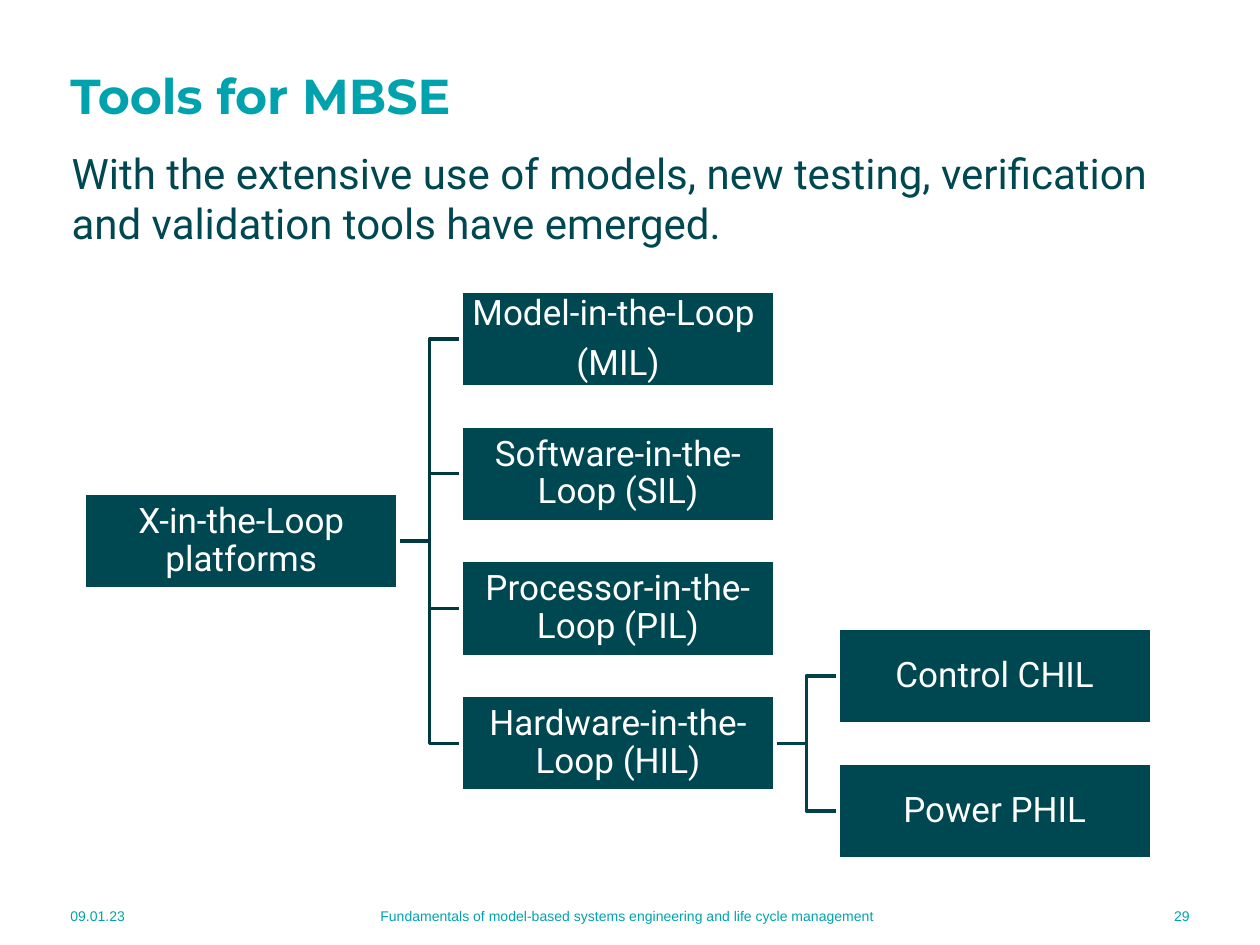
from pptx import Presentation
from pptx.dml.color import RGBColor
from pptx.enum.shapes import MSO_CONNECTOR, MSO_SHAPE
from pptx.enum.text import MSO_ANCHOR, PP_ALIGN
from pptx.oxml.ns import qn
from pptx.util import Inches, Pt
from lxml import etree

LEFT, CENTER, RIGHT = PP_ALIGN.LEFT, PP_ALIGN.CENTER, PP_ALIGN.RIGHT
TOP, MIDDLE = MSO_ANCHOR.TOP, MSO_ANCHOR.MIDDLE
RECTANGLE, ELBOW = MSO_SHAPE.RECTANGLE, MSO_CONNECTOR.ELBOW
LEFT_SIDE, RIGHT_SIDE = 1, 3

TEAL, DARK, WHITE = "00A3AD", "004851", "FFFFFF"
GRID_LEFT, GRID_TOP = 0.67, 2.31
COLUMN_STEP, ROW_STEP = 2.99, 1.07
BOX_WIDTH, BOX_HEIGHT = 2.49, 0.76

NODES = {
    "XIL": (0, 1.5, "X-in-the-Loop platforms"),
    "MIL": (1, 0, "Model-in-the-Loop \n(MIL)"),
    "SIL": (1, 1, "Software-in-the-Loop (SIL)"),
    "PIL": (1, 2, "Processor-in-the-Loop (PIL)"),
    "HIL": (1, 3, "Hardware-in-the-Loop (HIL)"),
    "CHIL": (2, 2.5, "Control CHIL"),
    "PHIL": (2, 3.5, "Power PHIL"),
}
BRANCHES = {
    "XIL": ("003A41", ["MIL", "SIL", "PIL", "HIL"]),
    "HIL": ("00414A", ["CHIL", "PHIL"]),
}
FOOTER = [
    (0.46, 1.29, "09.01.23", LEFT),
    (2.37, 5.22, "Fundamentals of model-based systems engineering "
                 "and life cycle management", CENTER),
    (8.32, 1.22, "29", RIGHT),
]


def color(hex_text):
    return RGBColor.from_string(hex_text)


def write(shape, text, font="Roboto", size=20, ink=DARK, bold=False,
          align=LEFT, anchor=MIDDLE, spacing=1.0, after=0, inset=None):
    frame = shape.text_frame
    frame.word_wrap = True
    frame.vertical_anchor = anchor
    if inset is not None:
        frame.margin_left = frame.margin_right = Inches(inset)
        frame.margin_top = frame.margin_bottom = Inches(inset)
    frame.text = text
    for para in frame.paragraphs:
        para.alignment = align
        para.line_spacing = spacing
        para.space_after = Pt(after)
        for span in para.runs:
            span.font.name = font
            span.font.size = Pt(size)
            span.font.bold = bold
            span.font.color.rgb = color(ink)


def add_label(page, left, top, width, height, text, **style):
    box = page.shapes.add_textbox(Inches(left), Inches(top),
                                  Inches(width), Inches(height))
    write(box, text, **style)


def add_node(page, column, row, text):
    box = page.shapes.add_shape(
        RECTANGLE,
        Inches(GRID_LEFT + column * COLUMN_STEP),
        Inches(GRID_TOP + row * ROW_STEP),
        Inches(BOX_WIDTH), Inches(BOX_HEIGHT))
    box.shadow.inherit = False
    box.fill.solid()
    box.fill.fore_color.rgb = color(DARK)
    box.line.color.rgb = color(WHITE)
    box.line.width = Pt(2)
    write(box, text, ink=WHITE, align=CENTER, spacing=0.9, after=7, inset=0.01)
    return box


def add_branch(page, parent, child, ink, backmost):
    branch = page.shapes.add_connector(ELBOW, 0, 0, 0, 0)
    branch.begin_connect(parent, RIGHT_SIDE)
    branch.end_connect(child, LEFT_SIDE)
    branch.line.color.rgb = color(ink)
    branch.line.width = Pt(2)
    etree.SubElement(branch._element.spPr, qn("a:effectLst"))
    backmost._element.addprevious(branch._element)


def add_tree(page):
    boxes = {name: add_node(page, *node) for name, node in NODES.items()}
    for parent, (ink, children) in BRANCHES.items():
        for child in children:
            add_branch(page, boxes[parent], boxes[child], ink, boxes["XIL"])


def main():
    deck = Presentation()
    deck.slide_width, deck.slide_height = Inches(10), Inches(7.5)
    page = deck.slides.add_slide(deck.slide_layouts[6])
    for left, width, text, align in FOOTER:
        add_label(page, left, 7.07, width, 0.4, text,
                  font="Arial", size=8, ink=TEAL, align=align)
    add_label(page, 0.46, 0.52, 8.38, 0.47, "Tools for MBSE",
              font="Montserrat", size=28, ink=TEAL, bold=True)
    add_label(page, 0.47, 1.12, 9.08, 5.26,
              "With the extensive use of models, new testing, verification "
              "and validation tools have emerged.", size=24, anchor=TOP)
    add_tree(page)
    deck.save("out.pptx")


if __name__ == "__main__":
    main()
